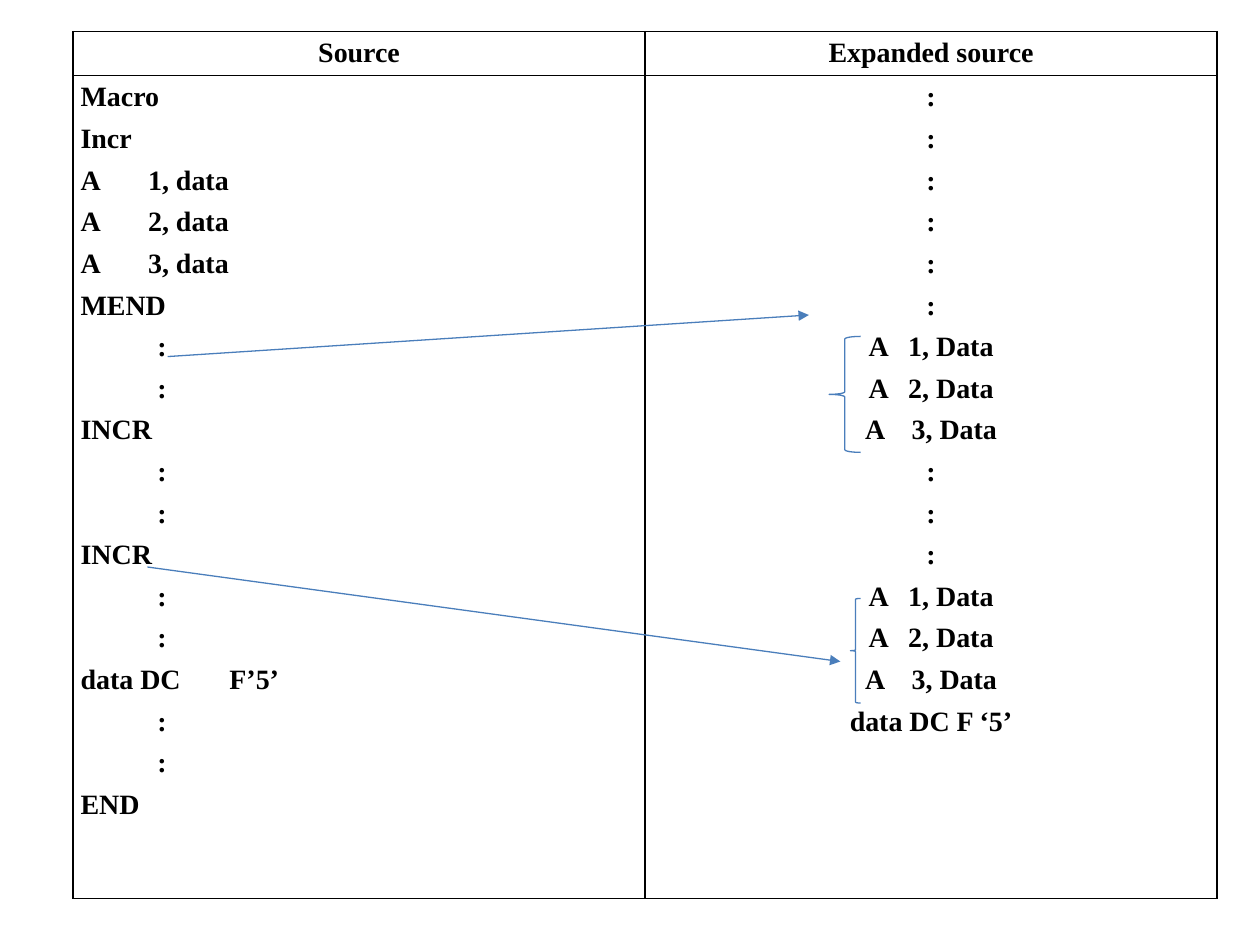
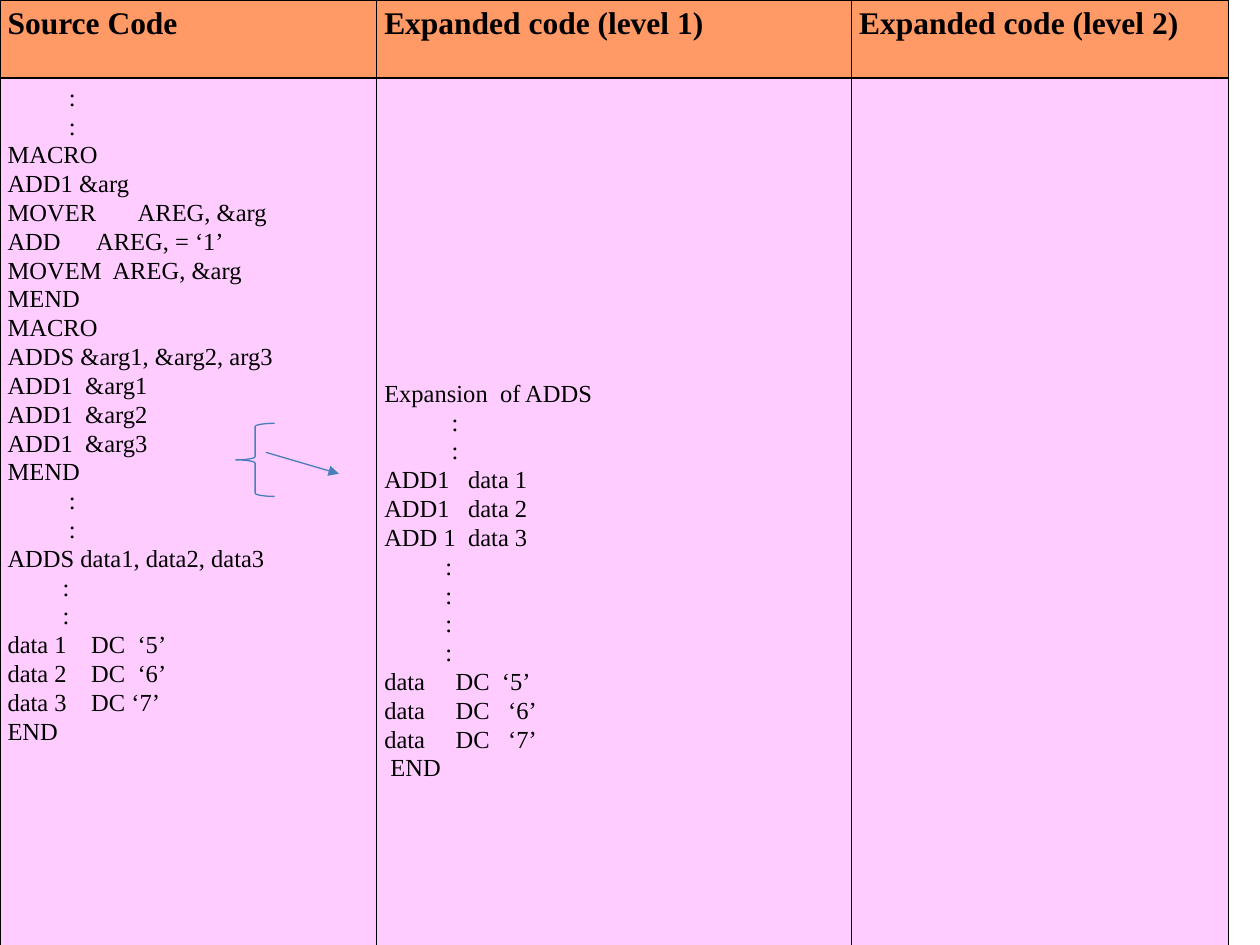
import pptx
import pptx.util
import pptx.dml.color
import pptx.enum.shapes
import pptx.enum.text
import pptx.oxml.ns
import lxml.etree

Inches = pptx.util.Inches
Pt = pptx.util.Pt
RGB = pptx.dml.color.RGBColor.from_string
ALIGN = pptx.enum.text.PP_ALIGN
qn = pptx.oxml.ns.qn

COLORS = {
    "text": "000000",
    "border": "000000",
    "accent": "4A7EBB",
    "header": "FF9966",
    "body": "FFCCFF",
}
FONT = "Times New Roman"

SOURCE = """\
Macro
Incr
A       1, data
A       2, data
A       3, data
MEND
           :
           :
INCR
           :
           :
INCR
           :
           :
data DC       F’5’
           :
           :
END"""

EXPANDED_SOURCE = """\
:
:
:
:
:
:
A   1, Data
A   2, Data
A    3, Data
:
:
:
A   1, Data
A   2, Data
A    3, Data
data DC F ‘5’"""

SOURCE_CODE = """\
          :
          :
MACRO
ADD1 &arg
MOVER       AREG, &arg
ADD      AREG, = ‘1’
MOVEM  AREG, &arg
MEND
MACRO
ADDS &arg1, &arg2, arg3
ADD1  &arg1
ADD1  &arg2
ADD1  &arg3
MEND
          :
          :
ADDS data1, data2, data3
         :
         :
data 1    DC  ‘5’
data 2    DC  ‘6’
data 3    DC ‘7’
END"""

EXPANDED_LEVEL_1 = """\
Expansion  of ADDS
           :
           :
ADD1   data 1
ADD1   data 2
ADD 1  data 3
          :
          :
          :
          :
data     DC  ‘5’
data     DC   ‘6’
data     DC   ‘7’
 END"""


def add_grid(slide, left, top, cols, rows):
    frame = slide.shapes.add_table(len(rows), len(cols), Inches(left), Inches(top),
                                   Inches(sum(cols)), Inches(sum(rows)))
    table = frame.table
    table.first_row = False
    table.horz_banding = False
    for col, width in zip(table.columns, cols):
        col.width = Inches(width)
    for row, height in zip(table.rows, rows):
        row.height = Inches(height)
    for cell in table.iter_cells():
        cell.margin_left = cell.margin_right = Inches(0.06)
        cell.margin_top = cell.margin_bottom = Inches(0.05)
        tcPr = cell._tc.get_or_add_tcPr()
        for side in ("a:lnL", "a:lnR", "a:lnT", "a:lnB"):
            ln = lxml.etree.SubElement(tcPr, qn(side), w=str(Pt(0.96)))
            fill = lxml.etree.SubElement(ln, qn("a:solidFill"))
            lxml.etree.SubElement(fill, qn("a:srgbClr"), val=COLORS["border"])
    return table


def fill_cell(cell, text, size, bold, align, before, after, fill):
    if fill:
        cell.fill.solid()
        cell.fill.fore_color.rgb = RGB(COLORS[fill])
    else:
        cell.fill.background()
    tf = cell.text_frame
    for i, line in enumerate(text.split("\n")):
        p = tf.paragraphs[0] if i == 0 else tf.add_paragraph()
        p.text = line
        p.alignment = align
        p.space_before = Pt(before if i else 0)
        p.space_after = Pt(after)
        p.font.size = Pt(size)
        for r in p.runs:
            r.font.name = FONT
            r.font.size = Pt(size)
            r.font.bold = bold
            r.font.color.rgb = RGB(COLORS["text"])


prs = pptx.Presentation()
prs.slide_width = Inches(10)
prs.slide_height = Inches(7.5)
blank = prs.slide_layouts[6]

macro_slide = prs.slides.add_slide(blank)
table = add_grid(macro_slide, 0.58, 0.25, [4.54, 4.54], [0.35, 6.53])
for c, title in enumerate(["Source", "Expanded source"]):
    fill_cell(table.cell(0, c), title, 16, True, ALIGN.CENTER, 3, 3, None)
fill_cell(table.cell(1, 0), SOURCE, 16, True, ALIGN.LEFT, 3, 3, None)
fill_cell(table.cell(1, 1), EXPANDED_SOURCE, 16, True, ALIGN.CENTER, 3, 3, None)

nested_slide = prs.slides.add_slide(blank)
table = add_grid(nested_slide, 0, 0, [2.99, 3.77, 2.99], [0.62, 7.35])
titles = ["Source Code", "Expanded code (level 1)", "Expanded code (level 2)"]
for c, (title, code) in enumerate(zip(titles, [SOURCE_CODE, EXPANDED_LEVEL_1, ""])):
    fill_cell(table.cell(0, c), title, 18, True, ALIGN.JUSTIFY, 1, 0, "header")
    fill_cell(table.cell(1, c), code, 14, False, ALIGN.JUSTIFY, 1, 0, "body")
table.cell(1, 1).margin_top = Inches(2.4)

braces = [
    (macro_slide, 6.58, 2.67, 0.25, 0.92),
    (macro_slide, 6.75, 4.75, 0.08, 0.83),
    (nested_slide, 1.87, 3.36, 0.31, 0.58),
]
for s, *box in braces:
    sp = s.shapes.add_shape(pptx.enum.shapes.MSO_SHAPE.LEFT_BRACE, *map(Inches, box))
    sp.shadow.inherit = False
    sp.fill.background()
    sp.line.color.rgb = RGB(COLORS["accent"])
    sp.line.width = Pt(0.75)

arrows = [
    (macro_slide, 1.33, 2.83, 6.42, 2.5),
    (macro_slide, 1.17, 4.5, 6.67, 5.25),
    (nested_slide, 2.11, 3.59, 2.69, 3.76),
]
for s, *ends in arrows:
    cx = s.shapes.add_connector(pptx.enum.shapes.MSO_CONNECTOR.STRAIGHT, *map(Inches, ends))
    cx.line.color.rgb = RGB(COLORS["accent"])
    cx.line.width = Pt(0.75)
    lxml.etree.SubElement(cx.line._get_or_add_ln(), qn("a:tailEnd"), type="triangle")
    lxml.etree.SubElement(cx._element.spPr, qn("a:effectLst"))

prs.save("out.pptx")
